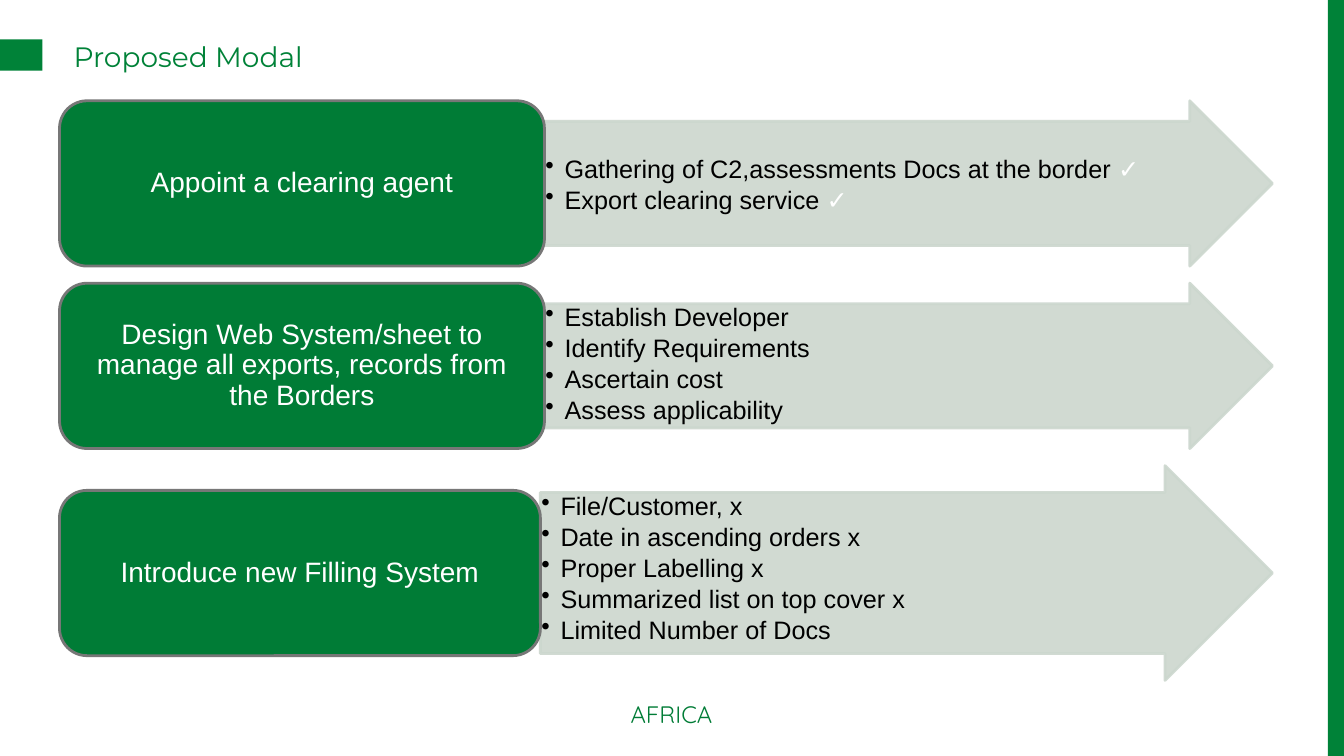
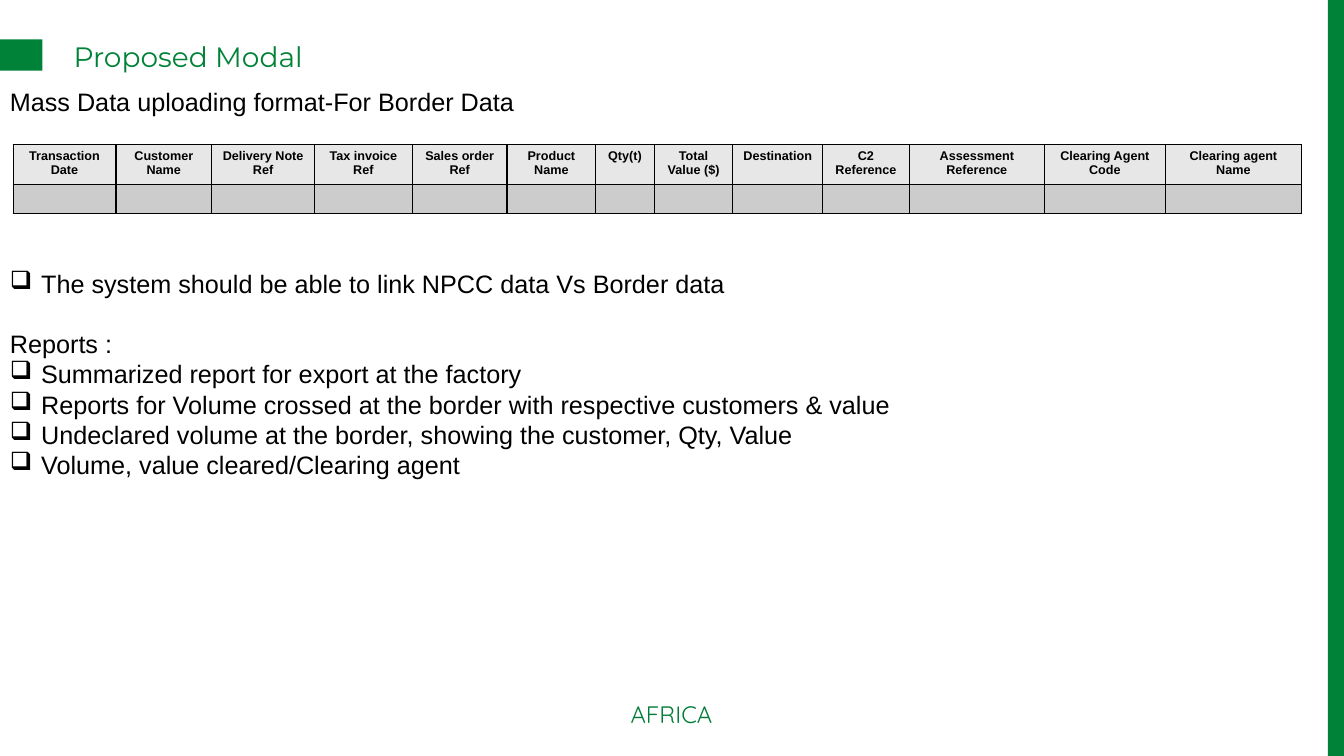
from lxml import etree
from pptx import Presentation
from pptx.dml.color import RGBColor
from pptx.enum.shapes import MSO_SHAPE
from pptx.enum.text import MSO_ANCHOR, PP_ALIGN
from pptx.oxml.ns import qn
from pptx.util import Inches, Pt

RECT, ROUND_RECT = MSO_SHAPE.RECTANGLE, MSO_SHAPE.ROUNDED_RECTANGLE
ARROW = MSO_SHAPE.RIGHT_ARROW
TOP, MIDDLE = MSO_ANCHOR.TOP, MSO_ANCHOR.MIDDLE
LEFT, CENTER = PP_ALIGN.LEFT, PP_ALIGN.CENTER

COLORS = {
    "brand": "008238", "step": "007C36", "step_line": "777777",
    "arrow": "CCD7CE", "text": "000000", "white": "FFFFFF",
    "header": "E7E7E7", "row": "CCCCCC", "border": "000000",
}
BODY = {"name": "Arial", "size": Pt(18), "color": "text"}
STEP = {"name": "Arial", "size": Pt(20), "color": "white"}
CHECK = {**BODY, "color": "white", "bold": True}
CELL = {"name": "Arial", "size": Pt(9), "color": "text", "bold": True}
TITLE = {"name": "Montserrat", "size": Pt(20), "color": "brand"}
FOOTER = {"name": "Quicksand", "size": Pt(17), "color": "step"}

TITLE_TEXT = "Proposed Modal"
FOOTER_TEXT = "AFRICA"
BANDS = [(0, 0.39, 0.42, 0.31), (13.17, 0, 0.16, 7.5)]

STEPS = [
    {"name": "Appoint a clearing agent", "box_w": 4.81, "arrow_h": 1.64, "inset": 0.35,
     "points": ["Gathering of C2,assessments Docs at the border ✓",
                "Export clearing service ✓"]},
    {"name": "Design Web System/sheet to manage all exports, records from the Borders",
     "box_w": 4.81, "arrow_h": 1.64, "inset": 0.01,
     "points": ["Establish Developer", "Identify Requirements",
                "Ascertain cost", "Assess applicability"]},
    {"name": "Introduce new Filling System", "box_w": 4.77, "arrow_h": 2.13, "inset": 0.01,
     "points": ["File/Customer, x", "Date in ascending orders x", "Proper Labelling x",
                "Summarized list on top cover x", "Limited Number of Docs"]},
]
STEP_LEFT, STEP_TOP, STEP_RIGHT, STEP_GAP, BOX_H = 0.59, 1, 12.62, 0.17, 1.64

DATA_HEADING = "Mass Data uploading format-For Border Data"
COLUMNS = [
    ("Transaction Date", 1.02), ("Customer Name", 0.95), ("Delivery Note Ref", 1.02),
    ("Tax invoice Ref", 0.97), ("Sales order Ref", 0.94), ("Product Name", 0.88),
    ("Qty(t)", 0.58), ("Total Value ($)", 0.78), ("Destination", 0.89),
    ("C2 Reference", 0.86), ("Assessment Reference", 1.34),
    ("Clearing Agent Code", 1.2), ("Clearing agent Name", 1.35),
]
ROW_HEIGHTS = [0.4, 0.29]
LINK_POINT = "The system should be able to link NPCC data Vs Border data"
REPORTS_HEADING = "Reports :"
REPORTS = [
    "Summarized report for export at the factory",
    "Reports for Volume crossed at the border with respective customers & value",
    "Undeclared volume at the border, showing the customer, Qty, Value",
    "Volume, value cleared/Clearing agent",
]


def rgb(name):
    return RGBColor.from_string(COLORS[name])


def inches(values):
    return [Inches(v) for v in values]


def add_run(p, text, style):
    r = p.add_run()
    r.text = text
    for key, value in style.items():
        if key == "color":
            r.font.color.rgb = rgb(value)
        else:
            setattr(r.font, key, value)


def add_bullet(p, char, indent):
    pPr = p._p.get_or_add_pPr()
    pPr.set("marL", str(Inches(indent)))
    pPr.set("indent", str(-Inches(indent)))
    etree.SubElement(pPr, qn("a:buChar")).set("char", char)


def set_frame(tf, margins, anchor=TOP):
    """Margins are left, top, right, bottom in inches."""
    tf.word_wrap = True
    tf.vertical_anchor = anchor
    for side, margin in zip(("left", "top", "right", "bottom"), margins):
        setattr(tf, f"margin_{side}", Inches(margin))


def next_paragraph(tf, align=LEFT, **spacing):
    """Return the first paragraph while it is empty, otherwise a new one."""
    first = tf.paragraphs[0]
    p = tf.add_paragraph() if first.runs else first
    p.alignment = align
    for key, value in spacing.items():
        setattr(p, key, value)
    return p


def add_text(s, at, text, style, align=LEFT, margins=(0.1, 0.05, 0.1, 0.05)):
    tf = s.shapes.add_textbox(*inches(at)).text_frame
    set_frame(tf, margins)
    add_run(next_paragraph(tf, align), text, style)
    return tf


def add_shape(s, kind, at, fill, line=None):
    sp = s.shapes.add_shape(kind, *inches(at))
    sp.shadow.inherit = False
    sp.fill.solid()
    sp.fill.fore_color.rgb = rgb(fill)
    if line:
        sp.line.color.rgb = rgb(line)
        sp.line.width = Pt(2)
    else:
        sp.line.fill.background()
    return sp


def add_slide(prs):
    """Add a slide with the bands, title and footer."""
    s = prs.slides.add_slide(prs.slide_layouts[6])
    for band in BANDS:
        add_shape(s, RECT, band, "brand")
    add_text(s, (0.73, 0.39, 11.75, 0.44), TITLE_TEXT, TITLE, margins=(0, 0, 0, 0))
    add_text(s, (5.2, 6.89, 2.92, 0.38), FOOTER_TEXT, FOOTER, CENTER)
    return s


def add_step(s, step, top):
    left = STEP_LEFT + step["box_w"]
    arrow = add_shape(s, ARROW, (left, top, STEP_RIGHT - left, step["arrow_h"]),
                      "arrow", "arrow")
    arrow.adjustments[0], arrow.adjustments[1] = 0.75, 0.5
    for color in arrow._element.spPr.iter(qn("a:srgbClr")):
        etree.SubElement(color, qn("a:alpha")).set("val", "90000")
    tf = arrow.text_frame
    set_frame(tf, (0.01, step["inset"], 0.01, 0.01))
    for point in step["points"]:
        p = next_paragraph(tf, line_spacing=0.9, space_after=Pt(2.7))
        add_bullet(p, "•", 0.19)
        text, check, _ = point.partition("✓")
        add_run(p, text, BODY)
        if check:
            add_run(p, check, CHECK)

    box_top = top + (step["arrow_h"] - BOX_H) / 2
    box = add_shape(s, ROUND_RECT, (STEP_LEFT, box_top, step["box_w"], BOX_H),
                    "step", "step_line")
    set_frame(box.text_frame, (0.08, 0.04, 0.08, 0.04), MIDDLE)
    add_run(next_paragraph(box.text_frame, CENTER, line_spacing=0.9), step["name"], STEP)


def style_cell(cell, fill):
    tcPr = cell._tc.get_or_add_tcPr()
    for side in ("lnL", "lnR", "lnT", "lnB"):
        ln = etree.SubElement(tcPr, qn(f"a:{side}"), w=str(Pt(1)))
        solid = etree.SubElement(ln, qn("a:solidFill"))
        etree.SubElement(solid, qn("a:srgbClr"), val=COLORS["border"])
    cell.fill.solid()
    cell.fill.fore_color.rgb = rgb(fill)


def add_data_table(s):
    width = sum(w for _, w in COLUMNS)
    at = (0.13, 1.43, width, sum(ROW_HEIGHTS))
    table = s.shapes.add_table(len(ROW_HEIGHTS), len(COLUMNS), *inches(at)).table
    table.first_row = table.horz_banding = False
    for row, height in zip(table.rows, ROW_HEIGHTS):
        row.height = Inches(height)
    for i, (name, col_w) in enumerate(COLUMNS):
        table.columns[i].width = Inches(col_w)
        header, empty = table.cell(0, i), table.cell(1, i)
        style_cell(header, "header")
        style_cell(empty, "row")
        add_run(next_paragraph(header.text_frame, CENTER), name, CELL)
        end = etree.SubElement(empty.text_frame.paragraphs[0]._p, qn("a:endParaRPr"))
        end.set("sz", "900")


def build_steps(prs):
    s = add_slide(prs)
    top = STEP_TOP
    for step in STEPS:
        add_step(s, step, top)
        top += step["arrow_h"] + STEP_GAP


def build_data(prs):
    s = add_slide(prs)
    add_text(s, (0, 0.81, 12.91, 0.4), DATA_HEADING, BODY)
    add_data_table(s)
    tf = add_text(s, (0, 2.61, 12.91, 2.3), LINK_POINT, BODY)
    add_bullet(tf.paragraphs[0], "❑", 0.31)
    add_run(next_paragraph(tf, space_before=Pt(21.6)), REPORTS_HEADING, BODY)
    for report in REPORTS:
        p = next_paragraph(tf)
        add_bullet(p, "❑", 0.31)
        add_run(p, report, BODY)


def main():
    prs = Presentation()
    prs.slide_width, prs.slide_height = Inches(13.33), Inches(7.5)
    build_steps(prs)
    build_data(prs)
    prs.save("out.pptx")


if __name__ == "__main__":
    main()
